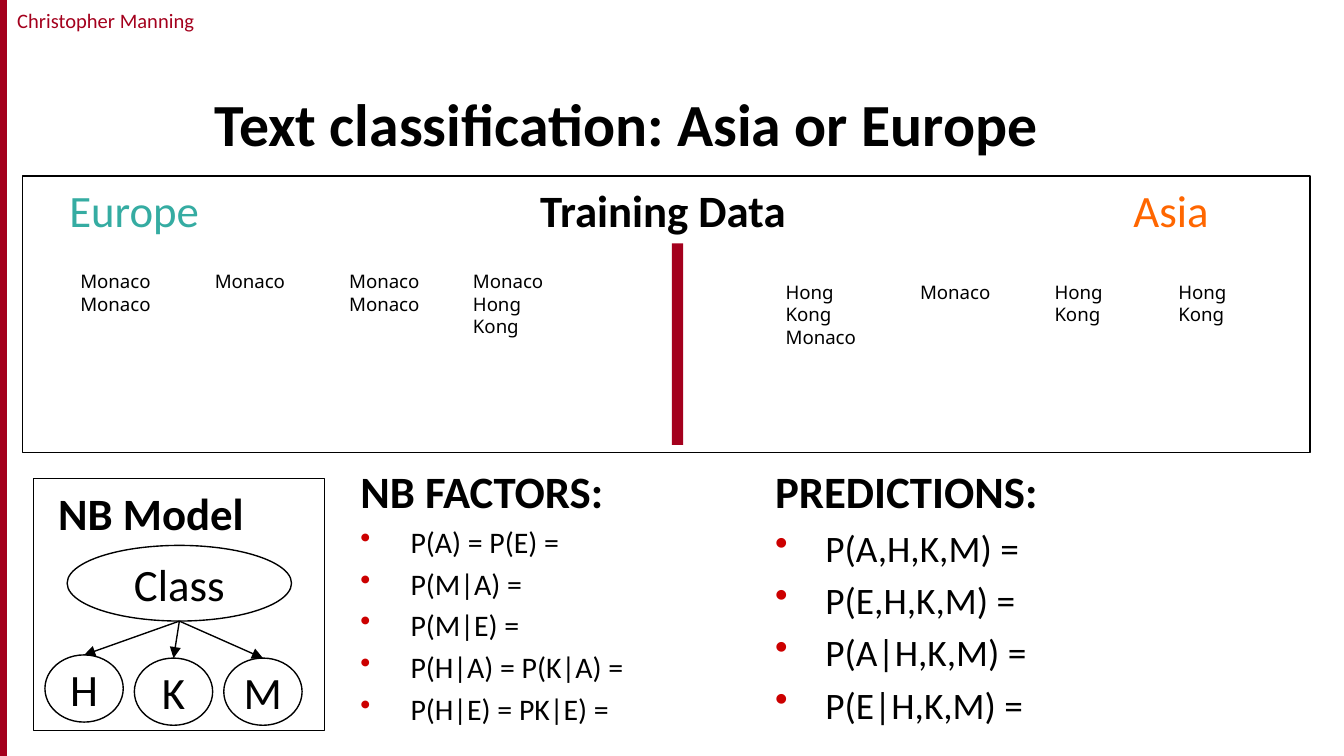
"""Build the naive Bayes text classification slide."""
import dataclasses

import lxml.etree
import pptx
import pptx.dml.color
import pptx.enum.shapes
import pptx.enum.text
import pptx.oxml.ns
import pptx.util

Cm = pptx.util.Cm
Align = pptx.enum.text.PP_ALIGN
Anchor = pptx.enum.text.MSO_ANCHOR
Preset = pptx.enum.shapes.MSO_SHAPE
qualified = pptx.oxml.ns.qn


@dataclasses.dataclass(frozen=True)
class Theme:
    font: str = "Calibri"
    document_font: str = "Noto Sans"
    black: str = "000000"
    crimson: str = "A4001D"
    bullet: str = "CC0000"
    europe: str = "35ACA2"
    asia: str = "FF6600"
    title_size: int = 32
    heading_size: int = 24
    prediction_size: int = 20
    factor_size: int = 16
    header_size: int = 11
    document_size: int = 10
    outline: float = 0.75


THEME = Theme()


@dataclasses.dataclass(frozen=True)
class Box:
    left: float
    top: float
    width: float
    height: float

    def lengths(self) -> tuple:
        return Cm(self.left), Cm(self.top), Cm(self.width), Cm(self.height)


@dataclasses.dataclass(frozen=True)
class Label:
    text: str
    box: Box
    size: int = THEME.heading_size
    color: str = THEME.black
    bold: bool = False
    font: str = THEME.font


@dataclasses.dataclass(frozen=True)
class FormulaList:
    heading: str
    formulas: tuple[str, ...]
    size: int
    box: Box


@dataclasses.dataclass(frozen=True)
class DocumentRow:
    left: float
    top: float
    documents: tuple[str, ...]


LABELS = (
    Label("Europe", Box(1.06, 3.33, 3.6, 1.27), color=THEME.europe),
    Label("Training Data", Box(9.96, 3.33, 5.5, 1.27), bold=True),
    Label("Asia", Box(21.17, 3.33, 3.6, 1.27), color=THEME.asia),
    Label("NB Model", Box(0.85, 9.05, 5.3, 1.27), bold=True),
)
FORMULA_LISTS = (
    FormulaList(
        "NB FACTORS:",
        ("P(A) = P(E) =", "P(M|A) =", "P(M|E) =", "P(H|A) = P(K|A) =", "P(H|E) = PK|E) ="),
        THEME.factor_size,
        Box(6.56, 8.64, 7.41, 5.28),
    ),
    FormulaList(
        "PREDICTIONS:",
        ("P(A,H,K,M) =", "P(E,H,K,M) =", "P(A|H,K,M) =", "P(E|H,K,M) ="),
        THEME.prediction_size,
        Box(14.4, 8.64, 10.16, 5.28),
    ),
)
DOCUMENT_ROWS = (
    DocumentRow(1.27, 4.98, ("Monaco Monaco", "Monaco", "Monaco Monaco", "Monaco Hong Kong")),
    DocumentRow(14.6, 5.18, ("Hong Kong Monaco", "Monaco", "Hong Kong", "Hong Kong")),
)
DOCUMENT_OFFSETS = (0, 2.54, 5.08, 7.42)
PANELS = (Box(0.43, 3.33, 24.33, 5.23), Box(0.64, 9.04, 5.5, 4.77))
CLASS_BOX = Box(1.27, 10.31, 4.24, 1.43)
FEATURES = (
    ("H", Box(0.85, 12.38, 1.48, 1.27)),
    ("K", Box(2.54, 12.44, 1.48, 1.27)),
    ("M", Box(4.23, 12.44, 1.48, 1.27)),
)


def rgb(color: str) -> pptx.dml.color.RGBColor:
    return pptx.dml.color.RGBColor.from_string(color)


def add_run(paragraph, text: str, size: int, color: str = THEME.black,
            bold: bool = False, font: str = THEME.font) -> None:
    run = paragraph.add_run()
    run.text = text
    run.font.name = font
    run.font.size = pptx.util.Pt(size)
    run.font.bold = bold
    run.font.color.rgb = rgb(color)


def add_label(slide, label: Label):
    frame = slide.shapes.add_textbox(*label.box.lengths()).text_frame
    frame.word_wrap = True
    add_run(frame.paragraphs[0], label.text, label.size, label.color, label.bold, label.font)
    return frame


def add_shape(slide, preset, box: Box, fill: str | None = None, line: str | None = THEME.black):
    shape = slide.shapes.add_shape(preset, *box.lengths())
    shape.shadow.inherit = False
    if fill:
        shape.fill.solid()
        shape.fill.fore_color.rgb = rgb(fill)
    else:
        shape.fill.background()
    if line:
        shape.line.color.rgb = rgb(line)
        shape.line.width = pptx.util.Pt(THEME.outline)
    else:
        shape.line.fill.background()
    return shape


def add_node(slide, text: str, box: Box):
    shape = add_shape(slide, Preset.OVAL, box)
    frame = shape.text_frame
    frame.word_wrap = False
    frame.vertical_anchor = Anchor.MIDDLE
    frame.paragraphs[0].alignment = Align.CENTER
    add_run(frame.paragraphs[0], text, THEME.heading_size)
    return shape


def add_arrow(slide, source: Box, target) -> None:
    start_left, start_top = Cm(source.left + source.width / 2), Cm(source.top + source.height)
    connector = slide.shapes.add_connector(
        pptx.enum.shapes.MSO_CONNECTOR.STRAIGHT, start_left, start_top, start_left, start_top)
    connector.end_connect(target, 0)
    connector.line.color.rgb = rgb(THEME.black)
    connector.line.width = pptx.util.Pt(THEME.outline)
    lxml.etree.SubElement(connector.line._get_or_add_ln(), qualified("a:tailEnd"), type="triangle")
    lxml.etree.SubElement(connector._element.spPr, qualified("a:effectLst"))


def add_formula_list(slide, formula_list: FormulaList) -> None:
    heading = Label(formula_list.heading, formula_list.box, bold=True)
    frame = add_label(slide, heading)
    for formula in formula_list.formulas:
        paragraph = frame.add_paragraph()
        properties = paragraph._p.get_or_add_pPr()
        properties.set("marL", str(Cm(0.95)))
        properties.set("indent", str(-Cm(0.95)))
        bullet_color = lxml.etree.SubElement(properties, qualified("a:buClr"))
        lxml.etree.SubElement(bullet_color, qualified("a:srgbClr"), val=THEME.bullet)
        lxml.etree.SubElement(properties, qualified("a:buChar"), char="•")
        paragraph.space_before = pptx.util.Pt(formula_list.size * 0.2)
        add_run(paragraph, formula, formula_list.size)


def main() -> None:
    presentation = pptx.Presentation()
    presentation.slide_width, presentation.slide_height = Cm(25.4), Cm(14.29)
    slide = presentation.slides.add_slide(presentation.slide_layouts[6])

    header = add_label(slide, Label("Christopher Manning", Box(0.2, 0.03, 3.6, 0.74),
                                    THEME.header_size, THEME.crimson))
    header.margin_left = header.margin_right = 0
    header.paragraphs[0].alignment = Align.CENTER
    add_shape(slide, Preset.RECTANGLE, Box(0, 0, 0.12, 14.29), THEME.crimson, THEME.crimson)
    title = add_label(slide, Label("Text classification: Asia or Europe",
                                   Box(3.81, 1.07, 20.75, 2.06), THEME.title_size, bold=True))
    title.vertical_anchor = Anchor.BOTTOM

    for panel in PANELS:
        add_shape(slide, Preset.RECTANGLE, panel)
    add_shape(slide, Preset.RECTANGLE, Box(12.7, 4.6, 0.21, 3.81), THEME.crimson, None)
    for label in LABELS:
        add_label(slide, label)
    for row in DOCUMENT_ROWS:
        for offset, document in zip(DOCUMENT_OFFSETS, row.documents):
            box = Box(row.left + offset, row.top, 1.9, 0.42 * len(document.split()) + 0.27)
            add_label(slide, Label(document, box, THEME.document_size, font=THEME.document_font))

    add_node(slide, "Class", CLASS_BOX)
    for text, box in FEATURES:
        add_arrow(slide, CLASS_BOX, add_node(slide, text, box))
    for formula_list in FORMULA_LISTS:
        add_formula_list(slide, formula_list)
    presentation.save("out.pptx")


if __name__ == "__main__":
    main()
